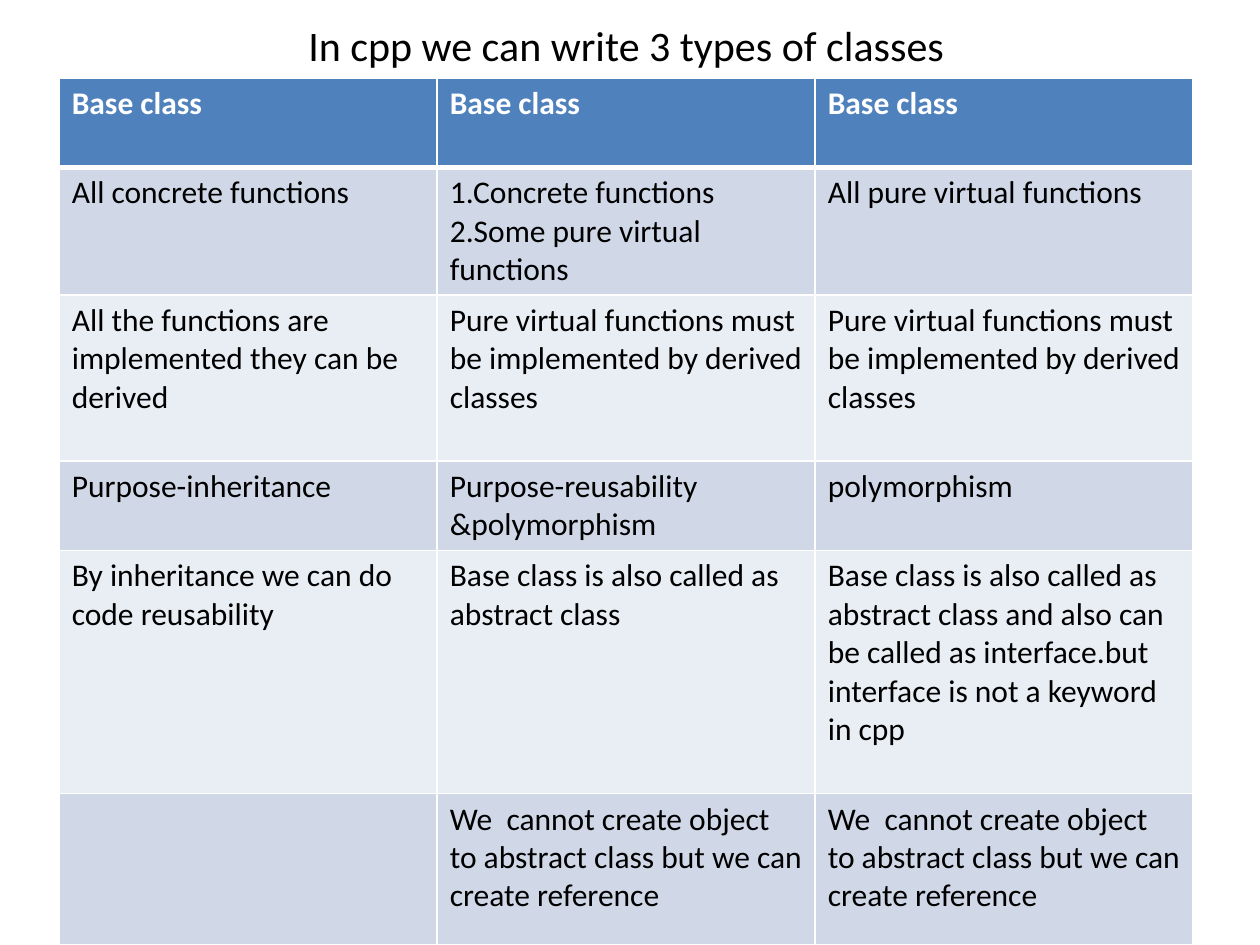
from lxml import etree
from pptx import Presentation
from pptx.dml.color import RGBColor
from pptx.enum import text as t
from pptx.oxml import ns
from pptx.util import Inches, Pt

COLORS = {"head": "4F81BD", "odd": "D0D8E8", "even": "E9EDF4",
          "white": "FFFFFF", "black": "000000"}
HEIGHTS = [0.71, 1.01, 1.32, 0.71, 1.93, 1.2]
MUST = "Pure virtual functions must be implemented by derived classes"
ALSO = "Base class is also called as abstract class"
REFER = "We  cannot create object to abstract class but we can create reference"
ROWS = [
    ["Base class"] * 3,
    ["All concrete functions",
     "1.Concrete functions\n2.Some pure virtual functions",
     "All pure virtual functions"],
    ["All the functions are implemented they can be derived", MUST, MUST],
    ["Purpose-inheritance", "Purpose-reusability &polymorphism", "polymorphism"],
    ["By inheritance we can do code reusability", ALSO,
     ALSO + " and also can be called as interface.but interface is not a keyword in cpp"],
    ["", REFER, REFER],
]


def paint(name):
    return RGBColor.from_string(COLORS[name])


def style(par, size, color, bold=False):
    font = par.font
    font.name, font.size, font.bold = "Calibri", Pt(size), bold
    font.color.rgb = paint(color)


def edge(cell, side, width):
    props = cell._tc.get_or_add_tcPr()
    line = etree.Element(ns.qn("a:ln" + side), w=str(Pt(width)))
    fill = etree.SubElement(line, ns.qn("a:solidFill"))
    etree.SubElement(fill, ns.qn("a:srgbClr"), val=COLORS["white"])
    props.append(line)


def add_title(slide, x, y, w, h):
    frame = slide.shapes.add_textbox(Inches(x), Inches(y), Inches(w), Inches(h)).text_frame
    frame.word_wrap = True
    frame.vertical_anchor = t.MSO_ANCHOR.MIDDLE
    par = frame.paragraphs[0]
    par.text = "In cpp we can write 3 types of classes"
    par.alignment = t.PP_ALIGN.CENTER
    style(par, 24, "black")


def fill_cell(cell, words, row):
    head = row == 0
    for side in "LRTB":
        thick = (head and side == "B") or (row == 1 and side == "T")
        edge(cell, side, 3 if thick else 1)
    cell.fill.solid()
    cell.fill.fore_color.rgb = paint("head" if head else "odd" if row % 2 else "even")
    cell.text = words
    for par in cell.text_frame.paragraphs:
        style(par, 18, "white" if head else "black", head)


def add_grid(slide, x, y, w):
    table = slide.shapes.add_table(len(ROWS), len(ROWS[0]), Inches(x), Inches(y),
                                   Inches(w), Inches(sum(HEIGHTS))).table
    for row, (height, line) in enumerate(zip(HEIGHTS, ROWS)):
        table.rows[row].height = Inches(height)
        for col, words in enumerate(line):
            fill_cell(table.cell(row, col), words, row)


def main():
    deck = Presentation()
    deck.slide_width, deck.slide_height = Inches(10), Inches(7.5)
    slide = deck.slides.add_slide(deck.slide_layouts[6])
    add_title(slide, 0.47, -0.16, 9, 1.03)
    add_grid(slide, 0.47, 0.62, 9)
    deck.save("out.pptx")


if __name__ == "__main__":
    main()
